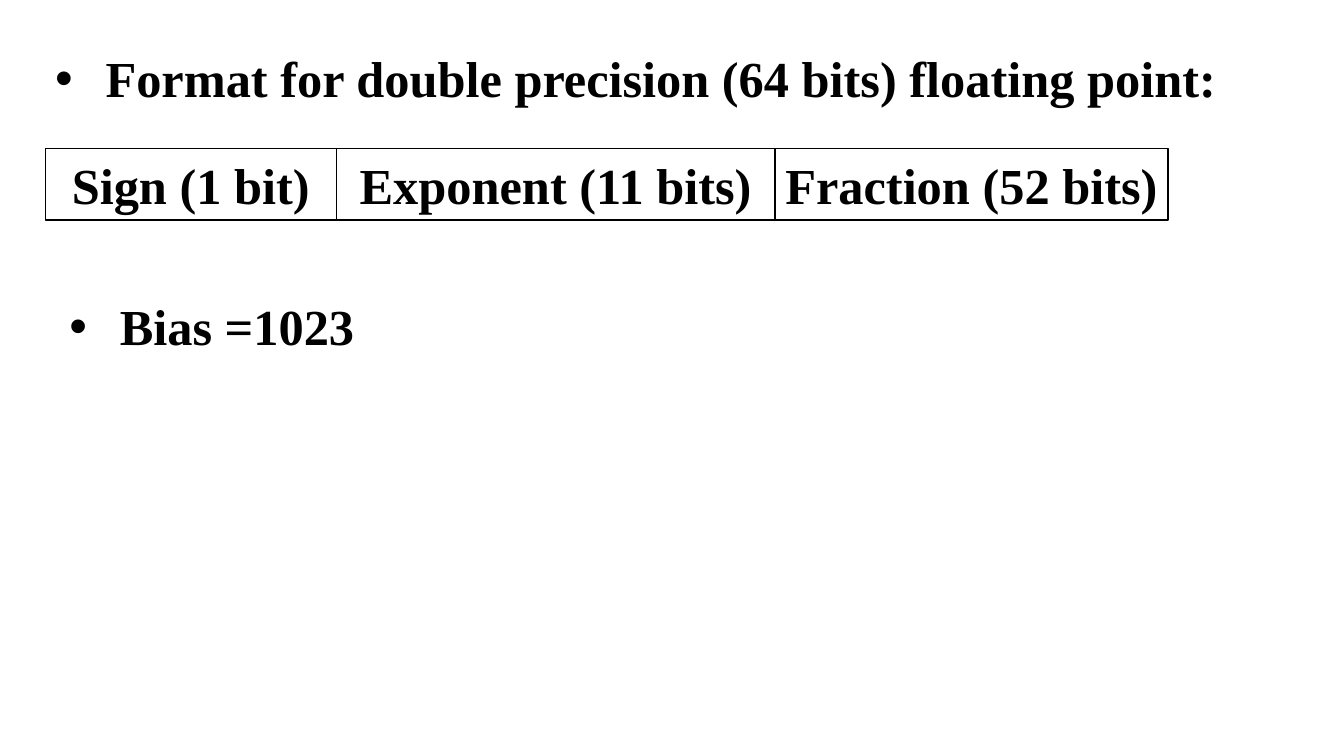
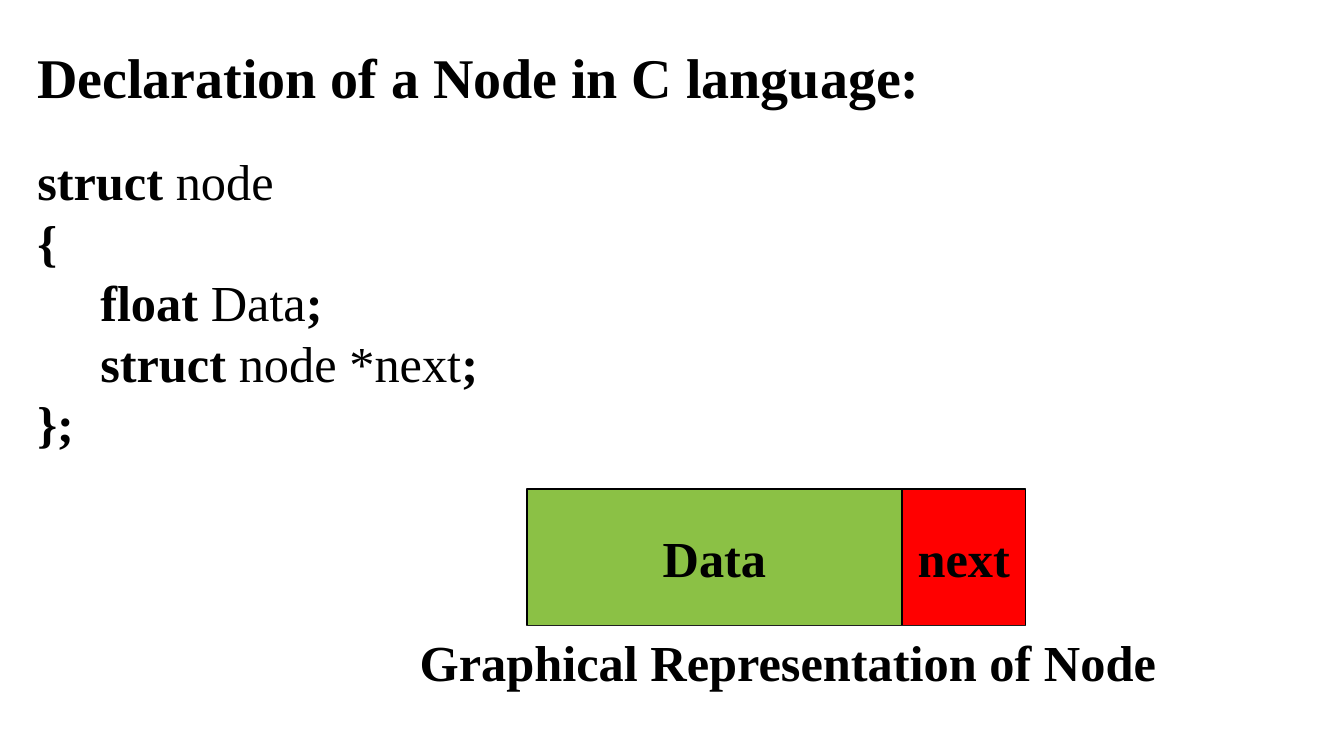
from dataclasses import dataclass
from typing import Optional

from lxml.etree import SubElement
from pptx import Presentation
from pptx.dml.color import RGBColor
from pptx.enum.shapes import MSO_SHAPE
from pptx.enum.text import MSO_ANCHOR, PP_ALIGN
from pptx.oxml.ns import qn
from pptx.util import Cm, Pt

FONT = "Times New Roman"
BLACK, WHITE, GREEN, RED = "000000", "FFFFFF", "8BC145", "FF0000"
BODY_SIZE, TITLE_SIZE = 36, 40
LINE_HEIGHT = 1.8


@dataclass
class Run:
    text: str
    bold: bool = True


@dataclass
class Field:
    label: str
    width: float
    fill: str = WHITE


FORMAT_FIELDS = [
    Field("Sign (1 bit)", 7.34),
    Field("Exponent (11 bits)", 11.05),
    Field("Fraction (52 bits)", 9.91),
]
NODE_FIELDS = [Field("Data", 9.45, GREEN), Field("next", 3.12, RED)]
NODE_CODE = [
    [Run("struct "), Run("node", False)],
    [Run("{")],
    [Run("     float "), Run("Data", False), Run(";")],
    [Run("     struct "), Run("node *next", False), Run(";")],
    [Run("};")],
]


def rgb(color: str) -> RGBColor:
    return RGBColor.from_string(color)


def add_runs(p, runs: list[Run], size: int = BODY_SIZE) -> None:
    for run in runs:
        r = p.add_run()
        r.text = run.text
        r.font.name = FONT
        r.font.size = Pt(size)
        r.font.bold = run.bold
        r.font.color.rgb = rgb(BLACK)


def add_bullet(p) -> None:
    pPr = p._p.get_or_add_pPr()
    pPr.set("marL", str(Cm(1.27)))
    pPr.set("indent", str(-Cm(1.27)))
    SubElement(pPr, qn("a:buFont")).set("typeface", "Arial")
    SubElement(pPr, qn("a:buChar")).set("char", "•")


def add_text(s, left: float, top: float, width: float, height: float,
             lines: list[list[Run]], size: int = BODY_SIZE,
             bullet: bool = False, anchor=MSO_ANCHOR.MIDDLE) -> None:
    tf = s.shapes.add_textbox(Cm(left), Cm(top), Cm(width), Cm(height)).text_frame
    tf.word_wrap = True
    tf.vertical_anchor = anchor
    for i, runs in enumerate(lines):
        p = tf.add_paragraph() if i else tf.paragraphs[0]
        if bullet:
            add_bullet(p)
        add_runs(p, runs, size)


def add_bullet_line(s, left: float, top: float, text: str) -> None:
    add_text(s, left, top, 31.55, LINE_HEIGHT, [[Run(text)]],
             bullet=True, anchor=MSO_ANCHOR.TOP)


def add_box(s, left: float, top: float, height: float, field: Field,
            line: Optional[str] = BLACK) -> None:
    sp = s.shapes.add_shape(MSO_SHAPE.RECTANGLE, Cm(left), Cm(top),
                            Cm(field.width), Cm(height))
    sp.shadow.inherit = False
    sp.fill.solid()
    sp.fill.fore_color.rgb = rgb(field.fill)
    if line:
        sp.line.color.rgb = rgb(line)
        sp.line.width = Pt(1)
    else:
        sp.line.fill.background()
    tf = sp.text_frame
    tf.word_wrap = True
    tf.margin_left = tf.margin_right = 0
    tf.vertical_anchor = MSO_ANCHOR.MIDDLE
    p = tf.paragraphs[0]
    p.alignment = PP_ALIGN.CENTER
    add_runs(p, [Run(field.label)])


def add_field_row(s, left: float, top: float, height: float,
                  fields: list[Field]) -> None:
    for field in fields:
        add_box(s, left, top, height, field)
        left += field.width


def build_format_slide(s) -> None:
    add_bullet_line(s, 1.14, 1.07,
                    "Format for double precision (64 bits) floating point:")
    add_field_row(s, 1.14, 3.75, LINE_HEIGHT, FORMAT_FIELDS)
    add_bullet_line(s, 1.5, 7.32, "Bias =1023")


def build_node_slide(s) -> None:
    add_text(s, 0.69, 0.94, 32.16, 1.96,
             [[Run("Declaration of a Node in C language:")]], TITLE_SIZE)
    add_text(s, 0.69, 3.63, 31.47, 7.95, NODE_CODE)
    top, height = 12.32, 3.45
    add_field_row(s, 13.28, top, height, NODE_FIELDS)
    add_box(s, 8.99, top + height, LINE_HEIGHT,
            Field("Graphical Representation of Node", 21.74), line=None)


def main() -> None:
    prs = Presentation()
    prs.slide_width, prs.slide_height = Cm(33.87), Cm(19.05)
    for build in (build_format_slide, build_node_slide):
        build(prs.slides.add_slide(prs.slide_layouts[6]))
    prs.save("out.pptx")


if __name__ == "__main__":
    main()
